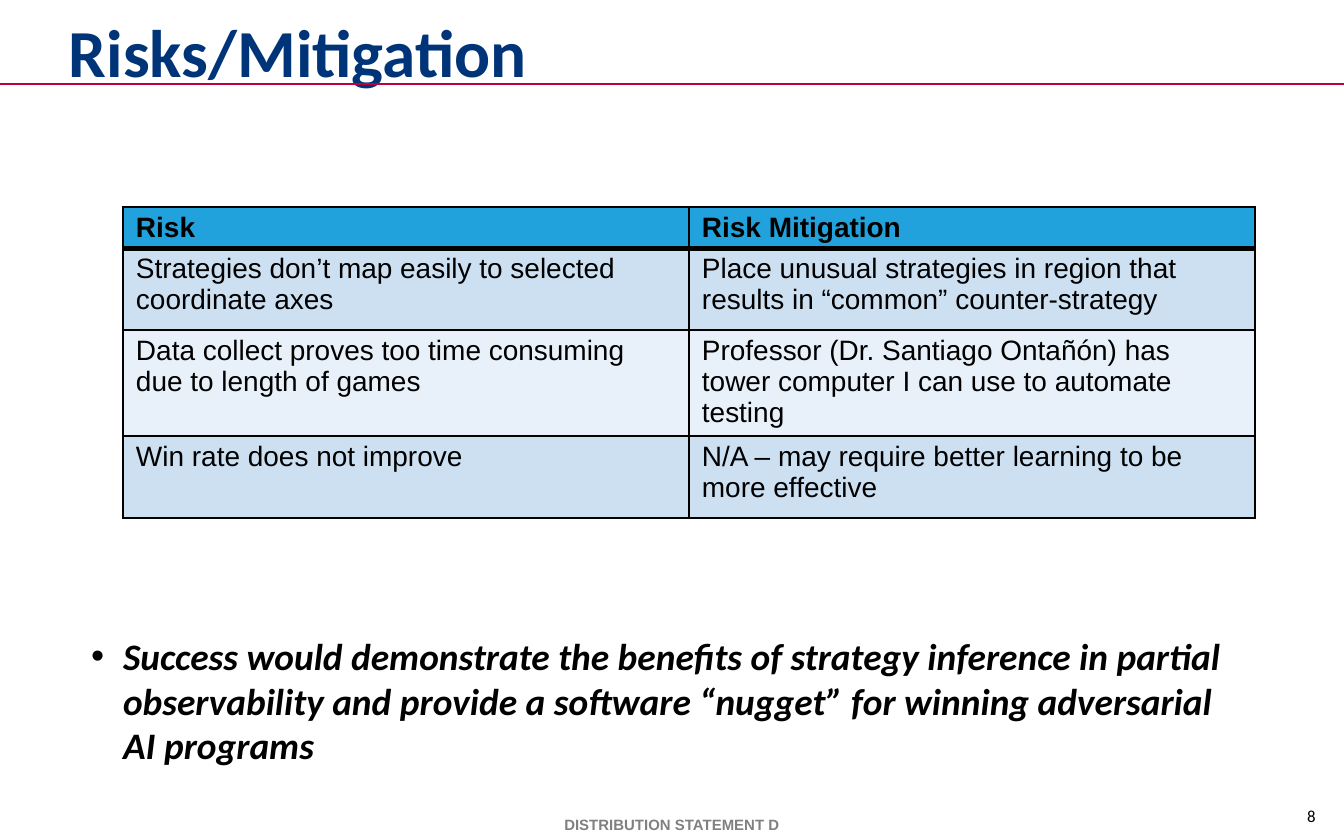
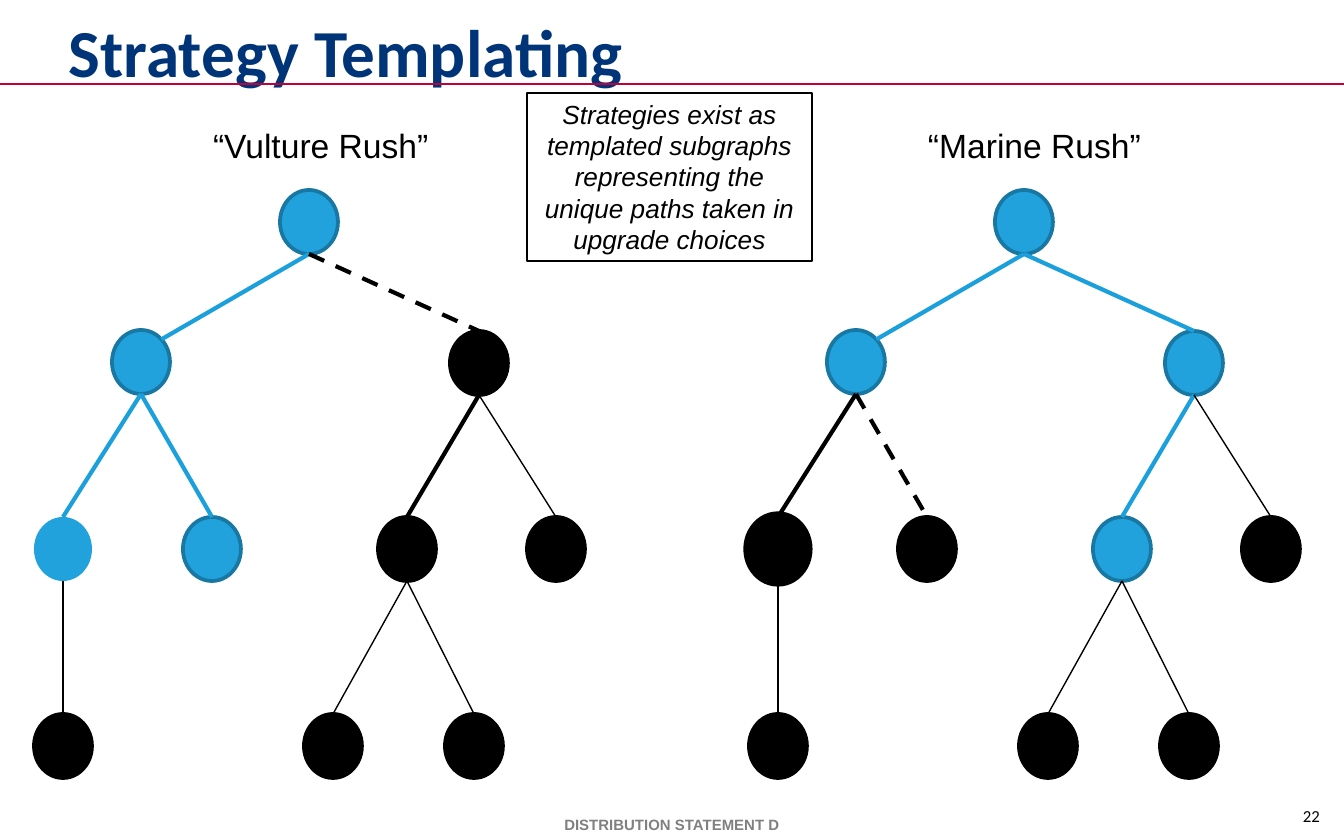
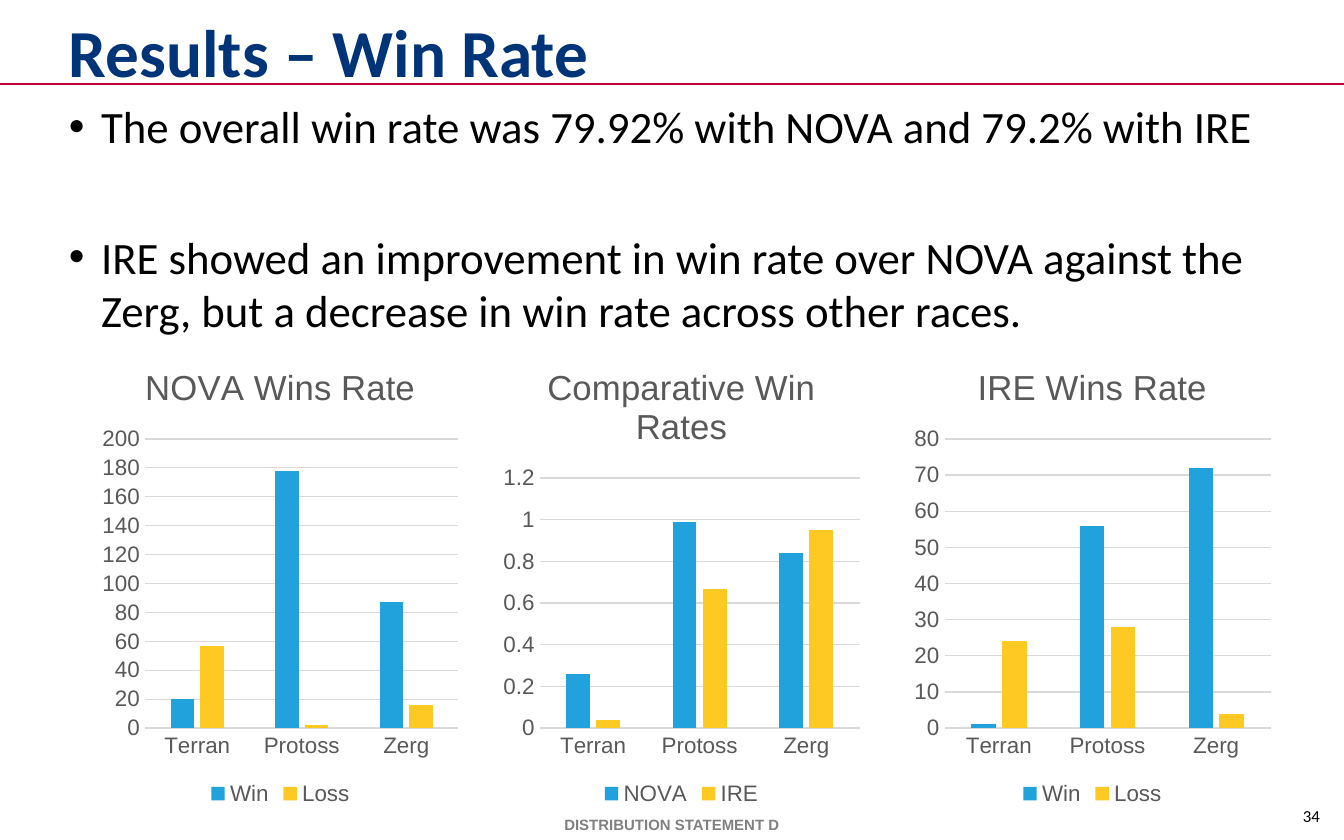
from dataclasses import dataclass
from math import sqrt

from lxml.etree import SubElement
from pptx import Presentation
from pptx.chart.data import CategoryChartData
from pptx.dml.color import RGBColor
from pptx.enum.chart import XL_CHART_TYPE, XL_LEGEND_POSITION, XL_TICK_MARK
from pptx.enum.dml import MSO_LINE
from pptx.enum.shapes import MSO_CONNECTOR, MSO_SHAPE
from pptx.enum.text import MSO_ANCHOR, MSO_AUTO_SIZE, PP_ALIGN
from pptx.oxml import parse_xml
from pptx.oxml.ns import nsdecls, qn
from pptx.util import Emu, Pt


@dataclass(frozen=True)
class Theme:
    # Colours
    navy: str = "003478"
    red: str = "BF0039"
    black: str = "000000"
    footer_gray: str = "808080"
    chart_gray: str = "595959"
    grid_gray: str = "D9D9D9"
    blue: str = "21A2DC"
    blue_outline: str = "1878A3"
    blue_edge: str = "1CA0DC"
    yellow: str = "FDC922"
    band_dark: str = "CDE0F2"
    band_light: str = "E8F0F9"
    # Fonts and type sizes
    head_font: str = "Calibri"
    text_font: str = "Arial"
    title: float = 36
    body: float = 24
    conclusion: float = 20
    label: float = 18
    table: float = 15
    callout: float = 14
    chart_title: float = 18.6
    chart: float = 12
    number: float = 9
    footer: float = 8


T = Theme()
EMU_PER_PX = 914400 / 134.4
WIDTH, HEIGHT = 1344, 840
TITLE_ONLY, TITLE_AND_BODY = 5, 1

# Strategy tree: node centres, relative to the left edge of the tree
NODE_W, NODE_H = 58, 64
TREE_STEP = 715
NODES = {
    "root": (309, 222),
    "L": (141, 362), "R": (479, 363),
    "LL": (63, 549), "LR": (212, 549), "RL": (407, 549), "RR": (556, 549),
    "LLL": (63, 746), "RLL": (333, 746), "RLR": (474, 746),
}
NODE_STYLES = {  # fill, outline, outline width
    "taken": (T.blue, T.blue_outline, 2),
    "plain": (T.blue, None, 0),
    "open": (T.black, T.black, 2),
    "heavy": (T.black, T.black, 6),
}
EDGE_STYLES = {  # colour, width, dash
    "taken": (T.blue_edge, 2.25, None),
    "strong": (T.black, 2.25, None),
    "barred": (T.black, 2.25, MSO_LINE.DASH),
    "thin": (T.black, 0.75, None),
}


def px(n):
    return Emu(round(n * EMU_PER_PX))


def box(*lengths):
    return [px(n) for n in lengths]


def rgb(color):
    return RGBColor.from_string(color)


# Text

def style_font(font, size, color=T.black, name=T.text_font, bold=False, italic=False):
    font.size, font.name, font.bold, font.italic = Pt(size), name, bold, italic
    font.color.rgb = rgb(color)


def put_text(tf, text, size, align=PP_ALIGN.LEFT, before=0, hanging=0, new=False, **font):
    p = tf.add_paragraph() if new else tf.paragraphs[0]
    p.alignment, p.space_before = align, Pt(before)
    if hanging:
        pPr = p._p.get_or_add_pPr()
        pPr.set("marL", str(px(hanging)))
        pPr.set("indent", str(-px(hanging)))
    r = p.add_run()
    r.text = text
    style_font(r.font, size, **font)


def set_frame(tf, margins=(0, 0), anchor=MSO_ANCHOR.TOP, wrap=True):
    tf.word_wrap, tf.auto_size, tf.vertical_anchor = wrap, MSO_AUTO_SIZE.NONE, anchor
    tf.margin_left = tf.margin_right = px(margins[0])
    tf.margin_top = tf.margin_bottom = px(margins[1])
    return tf


def add_text(s, bounds, text, size, margins=(0, 0), anchor=MSO_ANCHOR.TOP, wrap=True, **fmt):
    sp = s.shapes.add_textbox(*box(*bounds))
    put_text(set_frame(sp.text_frame, margins, anchor, wrap), text, size, **fmt)


def place(sp, bounds):
    sp.left, sp.top, sp.width, sp.height = box(*bounds)


def add_bullets(s, bounds, items, size, gap=6, **font):
    sp = s.placeholders[1]
    place(sp, bounds)
    tf = set_frame(sp.text_frame)
    for i, item in enumerate(items):
        put_text(tf, item, size, before=gap if i else 6, hanging=32, new=i > 0,
                 name=T.head_font, **font)


# Lines and shapes

def add_line(s, start, end, color, width, dash=None):
    ln = s.shapes.add_connector(MSO_CONNECTOR.STRAIGHT, *box(*start, *end))
    ln.line.color.rgb, ln.line.width = rgb(color), Pt(width)
    if dash:
        ln.line.dash_style = dash
    SubElement(ln._element.spPr, qn("a:effectLst"))


def add_shape(s, kind, bounds, fill=None, outline=None, width=0):
    sp = s.shapes.add_shape(kind, *box(*bounds))
    sp.shadow.inherit = False
    if fill:
        sp.fill.solid()
        sp.fill.fore_color.rgb = rgb(fill)
    else:
        sp.fill.background()
    if outline:
        sp.line.color.rgb, sp.line.width = rgb(outline), Pt(width)
    else:
        sp.line.fill.background()
    return sp


# Shared slide frame: rule, title, footer and number

def new_slide(prs, layout, title, number):
    s = prs.slides.add_slide(prs.slide_layouts[layout])
    add_line(s, (0, 84), (WIDTH, 84), T.red, 1)
    add_text(s, (1279, 806, 65, 28), number, T.number, align=PP_ALIGN.CENTER,
             before=T.number / 2, name=T.head_font)
    add_text(s, (0, 809, WIDTH, 31), "DISTRIBUTION STATEMENT D", T.footer, margins=(13, 7),
             anchor=MSO_ANCHOR.MIDDLE, align=PP_ALIGN.CENTER, color=T.footer_gray, bold=True)
    sp = s.shapes.title
    place(sp, (69, 19, 1211, 64))
    put_text(set_frame(sp.text_frame, anchor=MSO_ANCHOR.MIDDLE), title, T.title,
             color=T.navy, name=T.head_font, bold=True)
    return s


# Table

def set_borders(cell, **widths):
    tcPr = cell._tc.get_or_add_tcPr()
    for i, side in enumerate("LRTB"):
        tcPr.insert(i, parse_xml(
            f'<a:ln{side} {nsdecls("a")} w="{Pt(widths.get(side, 1))}"><a:solidFill>'
            f'<a:srgbClr val="{T.black}"/></a:solidFill></a:ln{side}>'))


def add_table(s, left, top, col_width, row_heights, rows):
    cols = len(rows[0])
    bounds = (left, top, col_width * cols, sum(row_heights))
    table = s.shapes.add_table(len(rows), cols, *box(*bounds)).table
    table.first_row = table.horz_banding = False
    for col in table.columns:
        col.width = px(col_width)
    for i, (height, texts) in enumerate(zip(row_heights, rows)):
        table.rows[i].height = px(height)
        fill = T.blue if i == 0 else T.band_dark if i % 2 else T.band_light
        for j, text in enumerate(texts):
            cell = table.cell(i, j)
            cell.margin_left = cell.margin_right = px(13)
            cell.margin_top = cell.margin_bottom = px(5)
            cell.fill.solid()
            cell.fill.fore_color.rgb = rgb(fill)
            set_borders(cell, T=3 if i == 1 else 1, B=3 if i == 0 else 1)
            put_text(cell.text_frame, text, T.table, bold=i == 0)


# Tree

def add_tree(s, left, label, nodes, edges):
    """Draw one tree; each edge is styled under the name of its child node."""
    add_text(s, (left + 202, 120, 239, 51), label, T.label, margins=(11, 5), wrap=False)
    centers = {name: (left + x, y) for name, (x, y) in NODES.items()}
    for name, (x, y) in centers.items():
        add_shape(s, MSO_SHAPE.OVAL, (x - NODE_W // 2, y - NODE_H // 2, NODE_W, NODE_H),
                  *NODE_STYLES[nodes.get(name, "open")])
    for name, (x, y) in centers.items():
        if name == "root":
            continue
        px_, py_ = centers[name[:-1] or "root"]
        if name == "L":  # this edge ends on the upper right of its node
            end = (x + NODE_W / 2 / sqrt(2), y - NODE_H / 2 / sqrt(2))
        else:
            end = (x, y - NODE_H // 2)
        add_line(s, (px_, py_ + NODE_H // 2), end, *EDGE_STYLES[edges.get(name, "thin")])


# Chart

def add_column_chart(s, left, title, series):
    data = CategoryChartData()
    data.categories = ["Terran", "Protoss", "Zerg"]
    for name, values in series.items():
        data.add_series(name, values)
    chart = s.shapes.add_chart(XL_CHART_TYPE.COLUMN_CLUSTERED,
                               *box(left, 341, 371, 470), data).chart
    style_font(chart.font, T.chart, T.chart_gray)

    chart.has_title = True
    put_text(chart.chart_title.text_frame, title, T.chart_title,
             align=PP_ALIGN.CENTER, color=T.chart_gray)
    chart.has_legend = True
    chart.legend.position = XL_LEGEND_POSITION.BOTTOM
    chart.legend.include_in_layout = False
    style_font(chart.legend.font, T.chart, T.chart_gray)

    for axis in (chart.category_axis, chart.value_axis):
        axis.major_tick_mark = axis.minor_tick_mark = XL_TICK_MARK.NONE
        style_font(axis.tick_labels.font, T.chart, T.chart_gray)
    chart.value_axis.has_major_gridlines = True
    chart.value_axis.format.line.fill.background()
    for part in (chart.category_axis, chart.value_axis.major_gridlines):
        part.format.line.color.rgb = rgb(T.grid_gray)
        part.format.line.width = Pt(0.75)

    plot = chart.plots[0]
    plot.gap_width, plot.overlap, plot.vary_by_categories = 219, -27, False
    for ser, color in zip(plot.series, (T.blue, T.yellow)):
        ser.format.fill.solid()
        ser.format.fill.fore_color.rgb = rgb(color)


# Slides

def risks_slide(prs):
    s = new_slide(prs, TITLE_AND_BODY, "Risks/Mitigation", "8")
    add_bullets(s, (91, 633, 1161, 136), [
        "Success would demonstrate the benefits of strategy inference in partial "
        "observability and provide a software “nugget” for winning adversarial AI programs",
    ], T.conclusion, bold=True, italic=True)
    add_table(s, 123, 207, 566, (41, 82, 106, 82), [
        ("Risk", "Risk Mitigation"),
        ("Strategies don’t map easily to selected coordinate axes",
         "Place unusual strategies in region that results in “common” counter-strategy"),
        ("Data collect proves too time consuming due to length of games",
         "Professor (Dr. Santiago Ontañón) has tower computer I can use to automate testing"),
        ("Win rate does not improve",
         "N/A – may require better learning to be more effective"),
    ])


def templating_slide(prs):
    s = new_slide(prs, TITLE_ONLY, "Strategy Templating", "22")
    add_tree(s, 0, "“Vulture Rush”",
             {"root": "taken", "L": "taken", "LL": "plain", "LR": "taken"},
             {"L": "taken", "LL": "taken", "LR": "taken", "R": "barred", "RL": "strong"})
    add_tree(s, TREE_STEP, "“Marine Rush”",
             {"root": "taken", "L": "taken", "R": "taken", "RL": "taken", "LL": "heavy"},
             {"L": "taken", "R": "taken", "RL": "taken", "LL": "strong", "LR": "barred"})
    callout = add_shape(s, MSO_SHAPE.RECTANGLE, (527, 93, 285, 168),
                        outline=T.black, width=0.75)
    put_text(set_frame(callout.text_frame, (11, 5)),
             "Strategies exist as templated subgraphs representing the unique paths "
             "taken in upgrade choices",
             T.callout, align=PP_ALIGN.CENTER, italic=True)


def results_slide(prs):
    s = new_slide(prs, TITLE_AND_BODY, "Results – Win Rate", "34")
    add_bullets(s, (69, 99, 1208, 305), [
        "The overall win rate was 79.92% with NOVA and 79.2% with IRE",
        "IRE showed an improvement in win rate over NOVA against the Zerg, "
        "but a decrease in win rate across other races.",
    ], T.body, gap=41)
    add_column_chart(s, 95, "NOVA Wins Rate", {"Win": (20, 178, 87), "Loss": (57, 2, 16)})
    add_column_chart(s, 496, "Comparative Win Rates",
                     {"NOVA": (0.26, 0.99, 0.84), "IRE": (0.04, 0.67, 0.95)})
    add_column_chart(s, 907, "IRE Wins Rate", {"Win": (1, 56, 72), "Loss": (24, 28, 4)})


def main():
    prs = Presentation()
    prs.slide_width, prs.slide_height = box(WIDTH, HEIGHT)
    risks_slide(prs)
    templating_slide(prs)
    results_slide(prs)
    prs.save("out.pptx")


if __name__ == "__main__":
    main()
